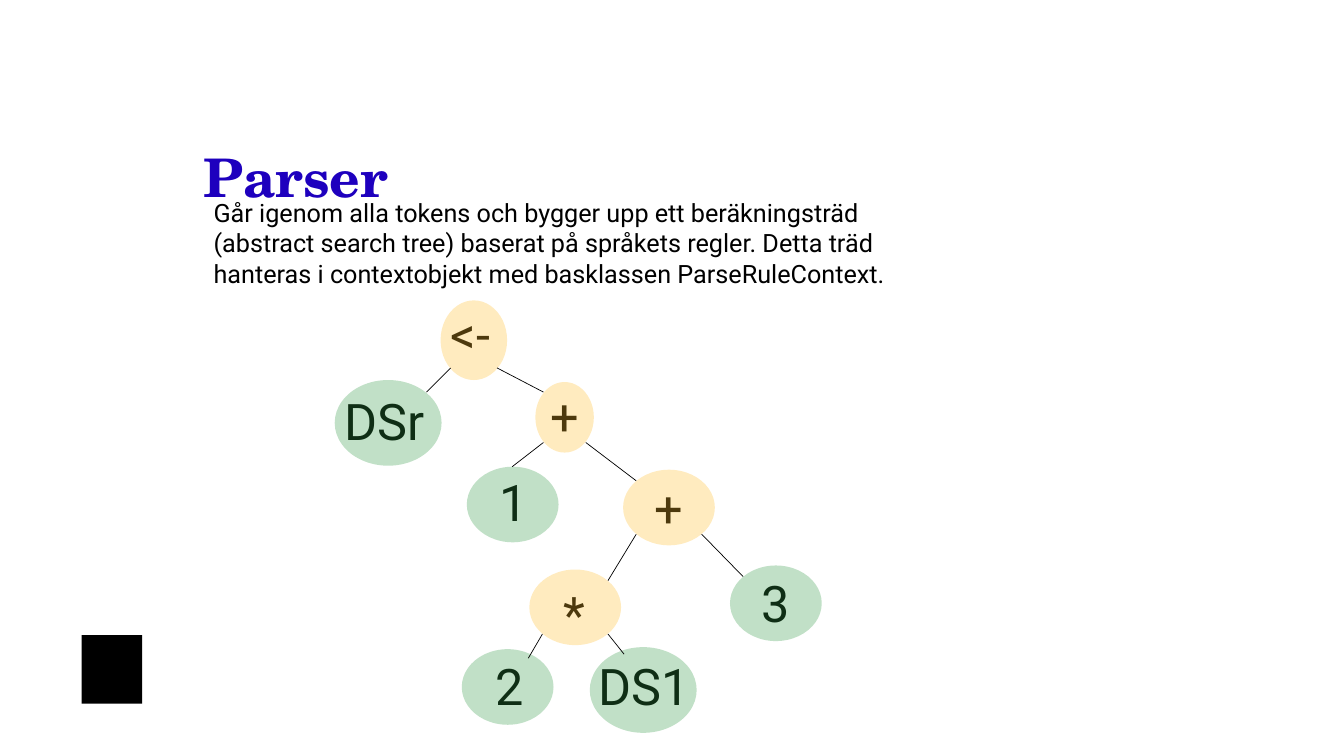
from lxml.etree import SubElement
from pptx import Presentation
from pptx.dml.color import RGBColor as Rgb
from pptx.enum.shapes import MSO_CONNECTOR as Link, MSO_SHAPE as Kind
from pptx.enum.text import MSO_ANCHOR as Anchor, MSO_AUTO_SIZE as Auto
from pptx.oxml.ns import qn
from pptx.util import Pt

PX = 9144
INK = {"black": "000000", "blue": "1E00BE", "gold": "FFBE2D", "green": "329B46"}
BODY = {"name": "Roboto", "size": Pt(18)}
LABEL = {"name": "Roboto", "size": Pt(36)}
TITLE = {"name": "TeX Gyre Schola", "size": Pt(38), "bold": True}
GROW = {"auto_size": Auto.SHAPE_TO_FIT_TEXT}
FLUSH = {"margin_left": 0, "margin_right": 0, "margin_top": 0, "margin_bottom": 0,
         "vertical_anchor": Anchor.MIDDLE}

NODES = {
    "root": ("<-", (437, 296, 60, 71), (437, 298, 66, 79), "gold"),
    "result": ("DSr", (332, 382, 125, 71), (332, 377, 106, 85), "green"),
    "sum": ("+", (536, 377, 49, 71), (531, 379, 58, 70), "gold"),
    "one": ("1", (486, 462, 49, 71), (463, 463, 91, 75), "green"),
    "add": ("+", (639, 468, 49, 71), (618, 466, 91, 75), "gold"),
    "three": ("3", (745, 563, 49, 71), (724, 561, 91, 75), "green"),
    "times": ("*", (549, 574, 42, 71), (525, 565, 91, 75), "gold"),
    "two": ("2", (482, 645, 49, 71), (458, 644, 91, 75), "green"),
    "data": ("DS1", (584, 645, 113, 71), (585, 642, 106, 85), "green"),
}
LOW, MID, HIGH = 0.146, 0.5, 0.854
EDGES = [
    ("root", LOW, "result", (HIGH, LOW)),
    ("root", HIGH, "sum", (LOW, LOW)),
    ("sum", LOW, "one", (MID, 0)),
    ("sum", HIGH, "add", (LOW, LOW)),
    ("add", LOW, "times", (HIGH, LOW)),
    ("add", HIGH, "three", (LOW, LOW)),
    ("times", LOW, "two", (0.73, 0.12)),
    ("times", HIGH, "data", (0.32, 0.08)),
]


def apply(target, form):
    for key, value in form.items():
        setattr(target, key, value)


def spot(box, across, down):
    x, y, w, h = box
    return round(x + across * w), round(y + down * h)


class Page:
    def __init__(self, deck):
        self.slide = deck.slides.add_slide(deck.slide_layouts[6])
        self.shapes = self.slide.shapes

    def scale(self, box):
        return [n * PX for n in box]

    def text(self, words, box, font, frame, wrap=True, color="black", line=None):
        area = self.shapes.add_textbox(*self.scale(box)).text_frame
        apply(area, {"word_wrap": wrap, **frame})
        para = area.paragraphs[0]
        para.line_spacing = line
        run = para.add_run()
        run.text = words
        apply(run.font, font)
        run.font.color.rgb = Rgb.from_string(INK[color])

    def shape(self, kind, box, color, alpha=100):
        item = self.shapes.add_shape(kind, *self.scale(box))
        item.shadow.inherit = False
        item.fill.solid()
        item.fill.fore_color.rgb = Rgb.from_string(INK[color])
        item.line.fill.background()
        if alpha < 100:
            tint = item.element.spPr.find(".//" + qn("a:srgbClr"))
            SubElement(tint, qn("a:alpha"), val=str(alpha * 1000))

    def line(self, start, end):
        item = self.shapes.add_connector(Link.STRAIGHT, *self.scale(start + end))
        item.line.width = Pt(0.5)
        item.line.color.rgb = Rgb.from_string(INK["black"])
        SubElement(item.element.spPr, qn("a:effectLst"))


def main():
    deck = Presentation()
    apply(deck, {"slide_width": 1333 * PX, "slide_height": 750 * PX})
    page = Page(deck)
    page.shape(Kind.RECTANGLE, (81, 630, 60, 68), "black")
    page.text("Parser", (202, 144, 528, 67), TITLE, FLUSH, color="blue", line=Pt(42))
    page.text("Går igenom alla tokens och bygger upp ett beräkningsträd "
              "(abstract search tree) baserat på språkets regler. Detta träd "
              "hanteras i contextobjekt med basklassen ParseRuleContext.",
              (202, 191, 705, 101), BODY, GROW)
    for name, (words, box, oval, color) in NODES.items():
        page.text(words, box, LABEL, GROW, wrap=name == "result")
    for words, box, oval, color in NODES.values():
        page.shape(Kind.OVAL, oval, color, 30)
    for top, side, child, site in EDGES:
        page.line(spot(NODES[top][2], side, HIGH), spot(NODES[child][2], *site))
    deck.save("out.pptx")


if __name__ == "__main__":
    main()
